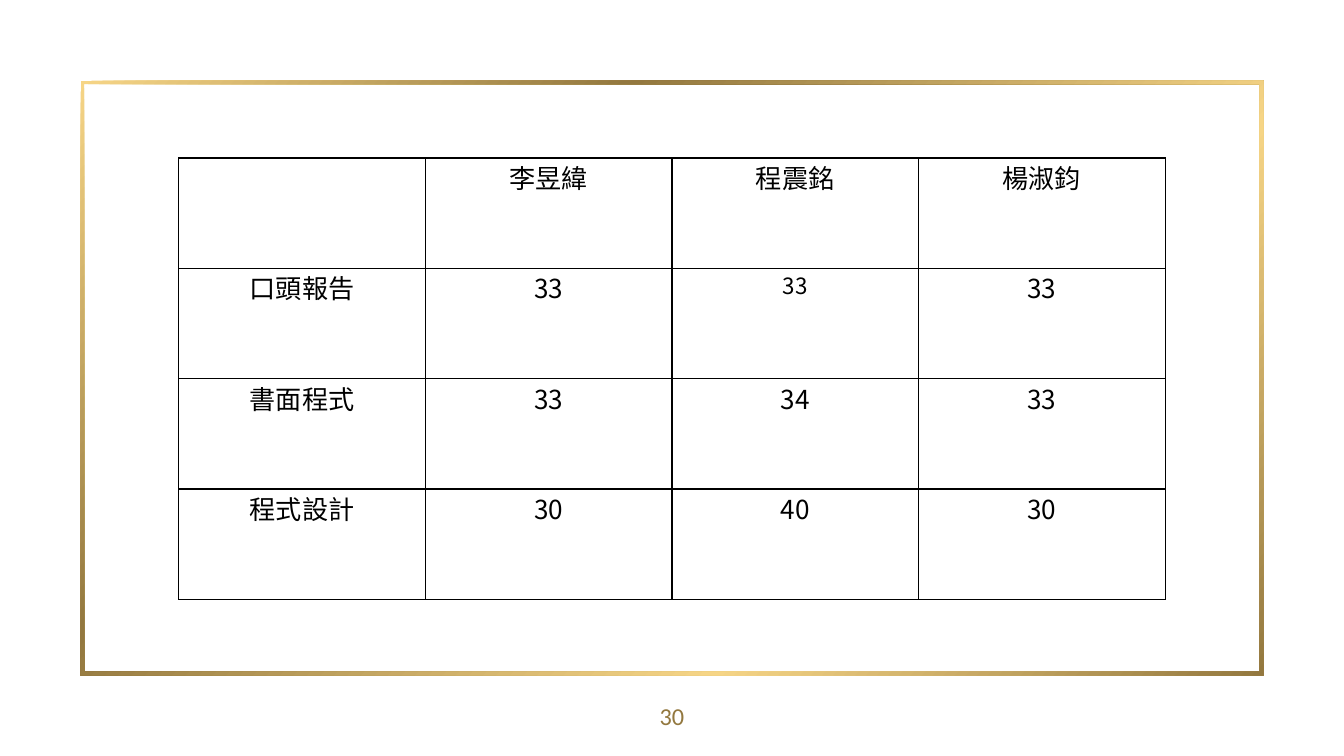
from itertools import product
from lxml.etree import SubElement
from pptx import Presentation
from pptx.dml.color import RGBColor
from pptx.enum.shapes import MSO_SHAPE
from pptx.enum.text import MSO_ANCHOR, PP_ALIGN
from pptx.oxml import parse_xml
from pptx.oxml.ns import nsdecls, qn
from pptx.util import Pt

COLORS = {"gold": "F6D586", "bronze": "93783F", "ink": "000000"}
CJK = "Noto Sans CJK SC"
ROWS = [
    ["", "李昱緯", "程震銘", "楊淑鈞"],
    ["口頭報告", "33", "33", "33"],
    ["書面程式", "33", "34", "33"],
    ["程式設計", "30", "40", "30"],
]
SMALL = (1, 2)  # the one cell set in 12 pt


def style(para, size, face, color):
    para.alignment = PP_ALIGN.CENTER
    font = para.font
    font.size, font.name = Pt(size), face
    font.color.rgb = RGBColor.from_string(COLORS[color])
    SubElement(font._element, qn("a:ea"), typeface=face)


def add_frame(slide, box):
    frame = slide.shapes.add_shape(MSO_SHAPE.FRAME, *map(Pt, box))
    frame.adjustments[0] = 0.006
    frame.shadow.inherit = False
    frame.line.fill.background()
    frame.fill.gradient()
    frame.fill.gradient_angle = 315
    # Four stops, gold and bronze in turn
    stops = frame._element.spPr.find(qn("a:gradFill")).find(qn("a:gsLst"))
    for old in list(stops):
        stops.remove(old)
    for place, name in zip((0, 31, 69, 100), ("gold", "bronze") * 2):
        stop = SubElement(stops, qn("a:gs"), pos=str(place * 1000))
        SubElement(stop, qn("a:srgbClr"), val=COLORS[name])


def add_number(slide, box, text):
    frame = slide.shapes.add_textbox(*map(Pt, box)).text_frame
    frame.word_wrap = True
    frame.vertical_anchor = MSO_ANCHOR.MIDDLE
    frame.margin_left = frame.margin_right = 0
    frame.margin_top = frame.margin_bottom = 0
    para = frame.paragraphs[0]
    para.text = text
    style(para, 13, "Calibri", "bronze")


def add_borders(cell):
    props = cell._tc.get_or_add_tcPr()
    for spot, side in enumerate("LRTB"):
        props.insert(spot, parse_xml(
            f'<a:ln{side} {nsdecls("a")} w="{Pt(0.75)}"><a:solidFill>'
            f'<a:srgbClr val="{COLORS["ink"]}"/></a:solidFill></a:ln{side}>'))


def add_grid(slide, box, rows):
    high, wide = len(rows), len(rows[0])
    table = slide.shapes.add_table(high, wide, *map(Pt, box)).table
    table.first_row = table.horz_banding = False
    for row, col in product(range(high), range(wide)):
        cell = table.cell(row, col)
        cell.fill.background()
        cell.margin_left = cell.margin_right = Pt(5)
        cell.margin_top = cell.margin_bottom = 0
        add_borders(cell)
        para = cell.text_frame.paragraphs[0]
        para.text = rows[row][col]
        style(para, 12 if (row, col) == SMALL else 14, CJK, "ink")


def main():
    deck = Presentation()
    deck.slide_width, deck.slide_height = Pt(720), Pt(405)
    slide = deck.slides.add_slide(deck.slide_layouts[6])
    add_frame(slide, (43.2, 43.2, 633.6, 318.6))
    add_number(slide, (338.4, 361.8, 43.2, 43.2), "30")
    add_grid(slide, (95.8, 84.7, 528.4, 236.4), ROWS)
    deck.save("out.pptx")


if __name__ == "__main__":
    main()
